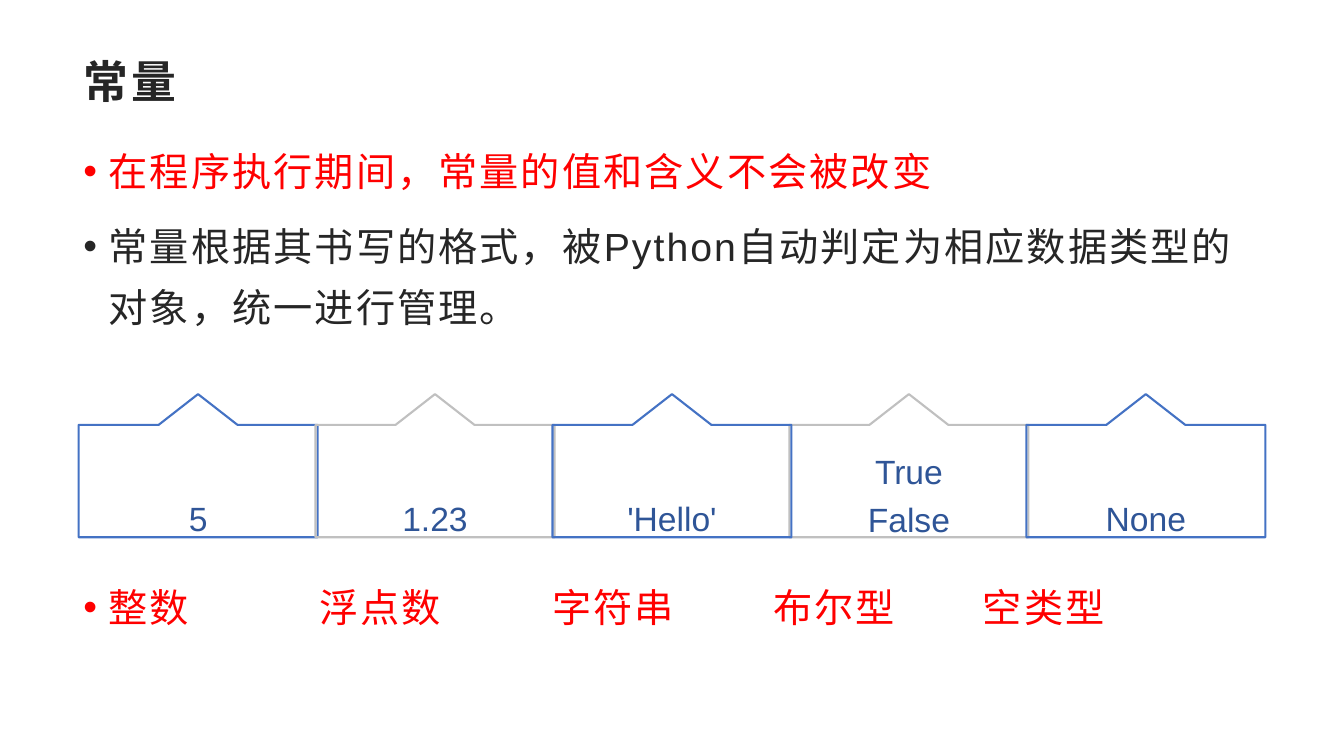
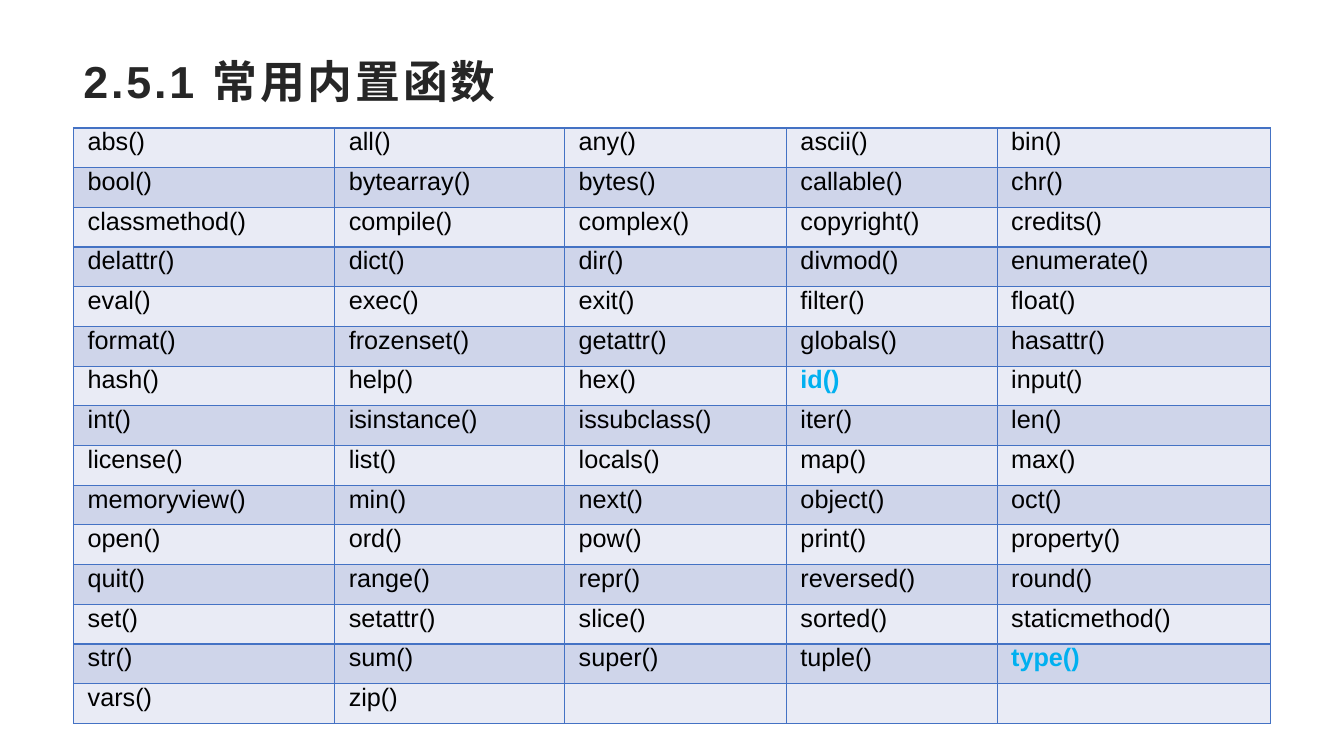
from lxml import etree
from pptx import Presentation
from pptx.dml.color import RGBColor
from pptx.enum.text import MSO_ANCHOR, PP_ALIGN
from pptx.oxml.ns import qn
from pptx.util import Inches, Pt

CENTER = PP_ALIGN.CENTER
MIDDLE = MSO_ANCHOR.MIDDLE

FONT = "Arial"
INK, RED, BLACK = "262626", "FF0000", "000000"
BLUE, GREY, NAVY, CYAN = "4472C4", "C0C0C0", "2F5597", "00B0F0"
BANDS = ("E9EBF5", "CFD5EA")

# Shared frame of both slides: left, top, width, height
TITLE_BOX = (0.73, 0.48, 11.87, 0.78)
BODY_BOX = (0.73, 1.27, 11.87, 2.3)
TABLE_BOX = (0.73, 1.27, 11.87, 5.91)
CARDS_BOX = (0.78, 3.91, 11.77, 1.42)
LABELS_TOP = 5.6

# Value lines, label, left edge of the label
CONSTANTS = [
    (["5"], "整数", 0.73),
    (["1.23"], "浮点数", 3.07),
    (["'Hello'"], "字符串", 5.38),
    (["True", "False"], "布尔型", 7.57),
    (["None"], "空类型", 9.65),
]
CARD_STACK = (0, 1, 3, 2, 4)  # back to front

COLUMN_WIDTHS = (2.59, 2.28, 2.2, 2.09, 2.71)
HIGHLIGHTED = ("id()", "type()")
BUILTINS = """
abs() all() any() ascii() bin()
bool() bytearray() bytes() callable() chr()
classmethod() compile() complex() copyright() credits()
delattr() dict() dir() divmod() enumerate()
eval() exec() exit() filter() float()
format() frozenset() getattr() globals() hasattr()
hash() help() hex() id() input()
int() isinstance() issubclass() iter() len()
license() list() locals() map() max()
memoryview() min() next() object() oct()
open() ord() pow() print() property()
quit() range() repr() reversed() round()
set() setattr() slice() sorted() staticmethod()
str() sum() super() tuple() type()
vars() zip()
""".split()


def rgb(value):
    return RGBColor.from_string(value)


def style(paragraph, size, color, bold=False, spacing=0):
    """Font of a whole paragraph, with letter spacing in points."""
    font = paragraph.font
    font.size, font.bold, font.name = Pt(size), bold, FONT
    font.color.rgb = rgb(color)
    defaults = paragraph._p.pPr.find(qn("a:defRPr"))
    etree.SubElement(defaults, qn("a:ea")).set("typeface", FONT)
    if spacing:
        defaults.set("spc", str(int(spacing * 100)))


def add_bullet(paragraph):
    props = paragraph._p.get_or_add_pPr()
    props.set("marL", str(Inches(0.25)))
    props.set("indent", str(-Inches(0.25)))
    etree.SubElement(props, qn("a:buFont")).set("typeface", FONT)
    etree.SubElement(props, qn("a:buChar")).set("char", "•")


def text_frame(slide, box):
    frame = slide.shapes.add_textbox(*map(Inches, box)).text_frame
    frame.word_wrap = True
    return frame


def add_title(slide, text):
    title = text_frame(slide, TITLE_BOX).paragraphs[0]
    title.text = text
    style(title, 32, INK, bold=True, spacing=2)


def add_body(slide, box, items, bulleted=True):
    """Body paragraphs, given as (text, colour) pairs."""
    frame = text_frame(slide, box)
    for i, (text, color) in enumerate(items):
        item = frame.add_paragraph() if i else frame.paragraphs[0]
        item.text = text
        item.line_spacing = 1.3
        item.space_after = Pt(10)
        if bulleted:
            add_bullet(item)
        style(item, 28, color, spacing=1.5)


def add_card(slide, box, lines, outline):
    """Box with a peak in the middle of its top edge and its value below."""
    left, top, width, height = box
    shares = [(0.5, 0), (0.665, 0.215), (1, 0.215), (1, 1),
              (0, 1), (0, 0.215), (0.335, 0.215)]
    points = [(Inches(left + x * width), Inches(top + y * height)) for x, y in shares]
    builder = slide.shapes.build_freeform(*points[0], scale=1.0)
    builder.add_line_segments(points[1:], close=True)
    card = builder.convert_to_shape()
    card.shadow.inherit = False
    card.fill.background()
    card.line.color.rgb = rgb(outline)
    card.line.width = Pt(1.5)

    frame = card.text_frame
    frame.word_wrap = True
    frame.vertical_anchor = MIDDLE
    frame.margin_left = frame.margin_right = frame.margin_bottom = 0
    # A single value sits on the second of two lines
    frame.margin_top = Inches(0.5 + 0.46 * (2 - len(lines)))
    for i, line in enumerate(lines):
        value = frame.add_paragraph() if i else frame.paragraphs[0]
        value.text = line
        value.alignment = CENTER
        value.line_spacing = 1.2
        style(value, 24, NAVY)


def add_cards(slide, box):
    left, top, width, height = box
    pitch = 2.35
    card_width = width - pitch * (len(CONSTANTS) - 1)
    for column in CARD_STACK:
        card_box = (left + column * pitch, top, card_width, height)
        add_card(slide, card_box, CONSTANTS[column][0], GREY if column % 2 else BLUE)


def add_type_labels(slide, top):
    for i, (_, label, left) in enumerate(CONSTANTS):
        add_body(slide, (left, top, 2, 0.8), [(label, RED)], bulleted=i == 0)


def add_borders(cell, color, width):
    props = cell._tc.get_or_add_tcPr()
    for i, side in enumerate(("a:lnL", "a:lnR", "a:lnT", "a:lnB")):
        border = etree.Element(qn(side), w=str(Pt(width)))
        fill = etree.SubElement(border, qn("a:solidFill"))
        etree.SubElement(fill, qn("a:srgbClr")).set("val", color)
        props.insert(i, border)


def add_function_table(slide, box, names):
    columns = len(COLUMN_WIDTHS)
    rows = -(-len(names) // columns)
    table = slide.shapes.add_table(rows, columns, *map(Inches, box)).table
    table.first_row = table.horz_banding = False
    for column, width in zip(table.columns, COLUMN_WIDTHS):
        column.width = Inches(width)
    for row in table.rows:
        row.height = Inches(box[3] / rows)
    for i in range(rows * columns):
        row, column = divmod(i, columns)
        cell = table.cell(row, column)
        cell.margin_left = Inches(0.14)
        cell.margin_right = cell.margin_top = cell.margin_bottom = 0
        cell.fill.solid()
        cell.fill.fore_color.rgb = rgb(BANDS[row % 2])
        add_borders(cell, BLUE, 1)
        if i < len(names):
            cell.text = names[i]
            marked = names[i] in HIGHLIGHTED
            style(cell.text_frame.paragraphs[0], 18, CYAN if marked else BLACK, bold=marked)


def constants_slide(slide):
    add_title(slide, "常量")
    add_body(slide, BODY_BOX, [
        ("在程序执行期间，常量的值和含义不会被改变", RED),
        ("常量根据其书写的格式，被Python自动判定为相应数据类型的对象，统一进行管理。", INK),
    ])
    add_cards(slide, CARDS_BOX)
    add_type_labels(slide, LABELS_TOP)


def builtins_slide(slide):
    add_title(slide, "2.5.1 常用内置函数")
    add_function_table(slide, TABLE_BOX, BUILTINS)


def main():
    deck = Presentation()
    deck.slide_width, deck.slide_height = Inches(13.33), Inches(7.5)
    blank = deck.slide_layouts[6]
    for build in (constants_slide, builtins_slide):
        build(deck.slides.add_slide(blank))
    deck.save("out.pptx")


if __name__ == "__main__":
    main()
